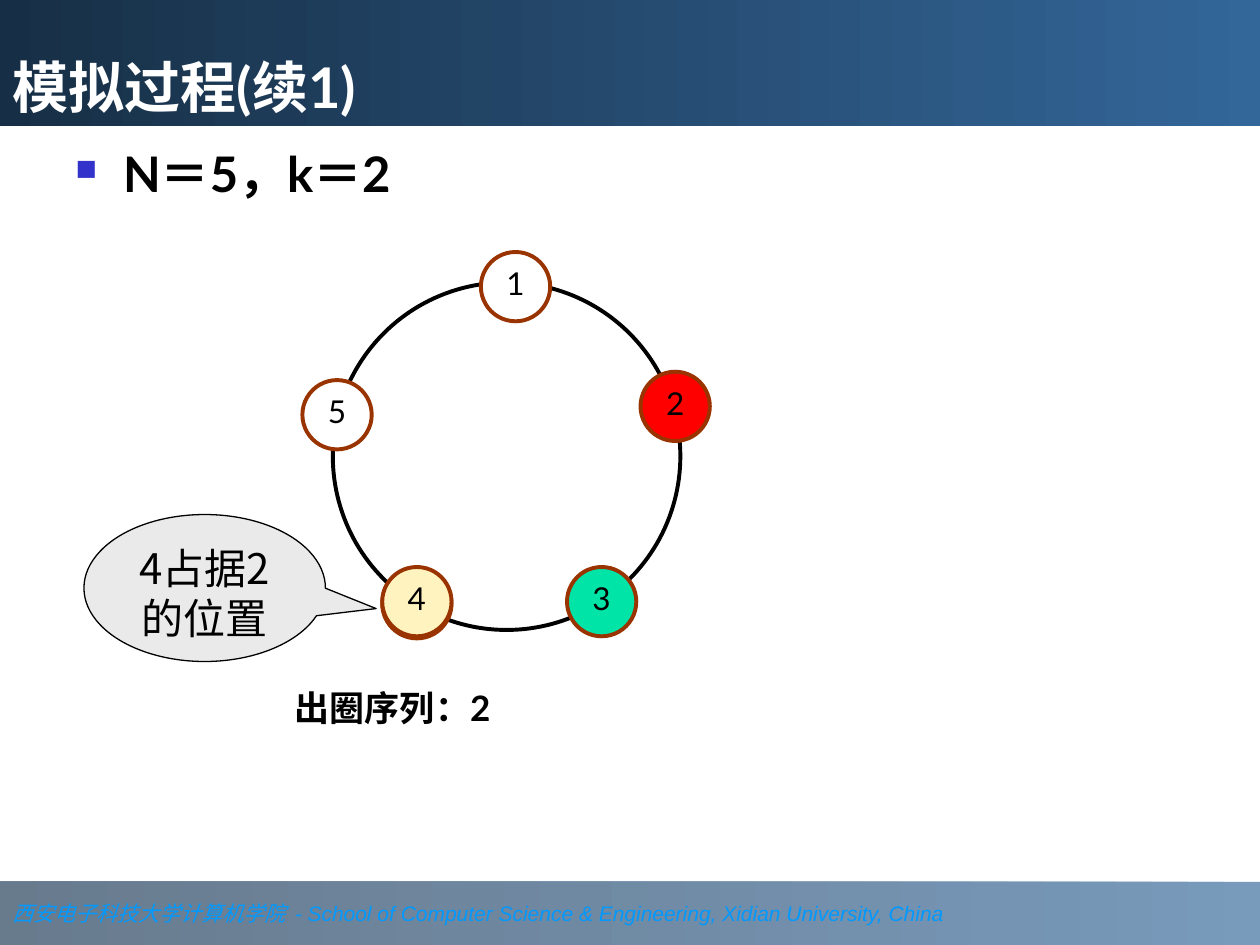
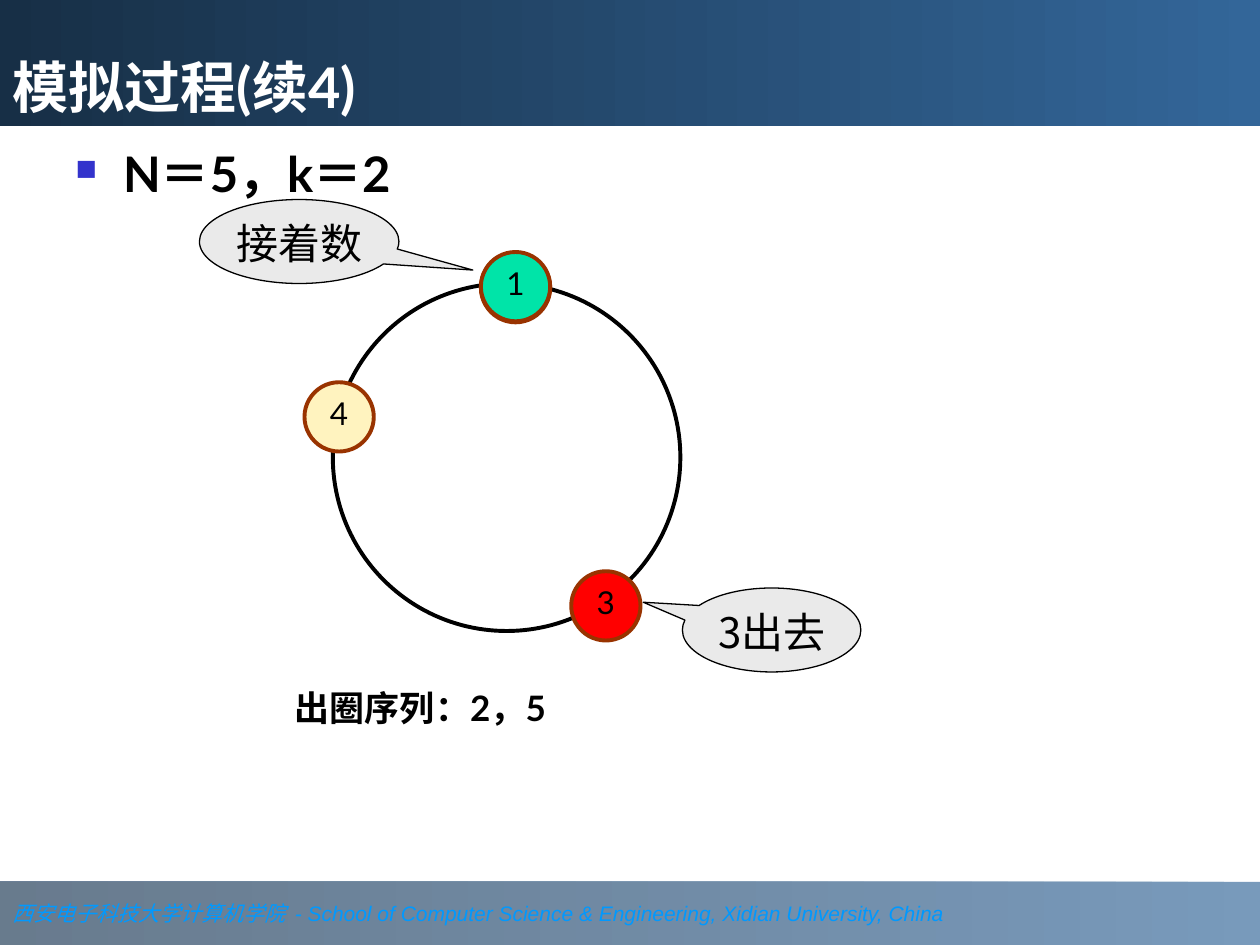
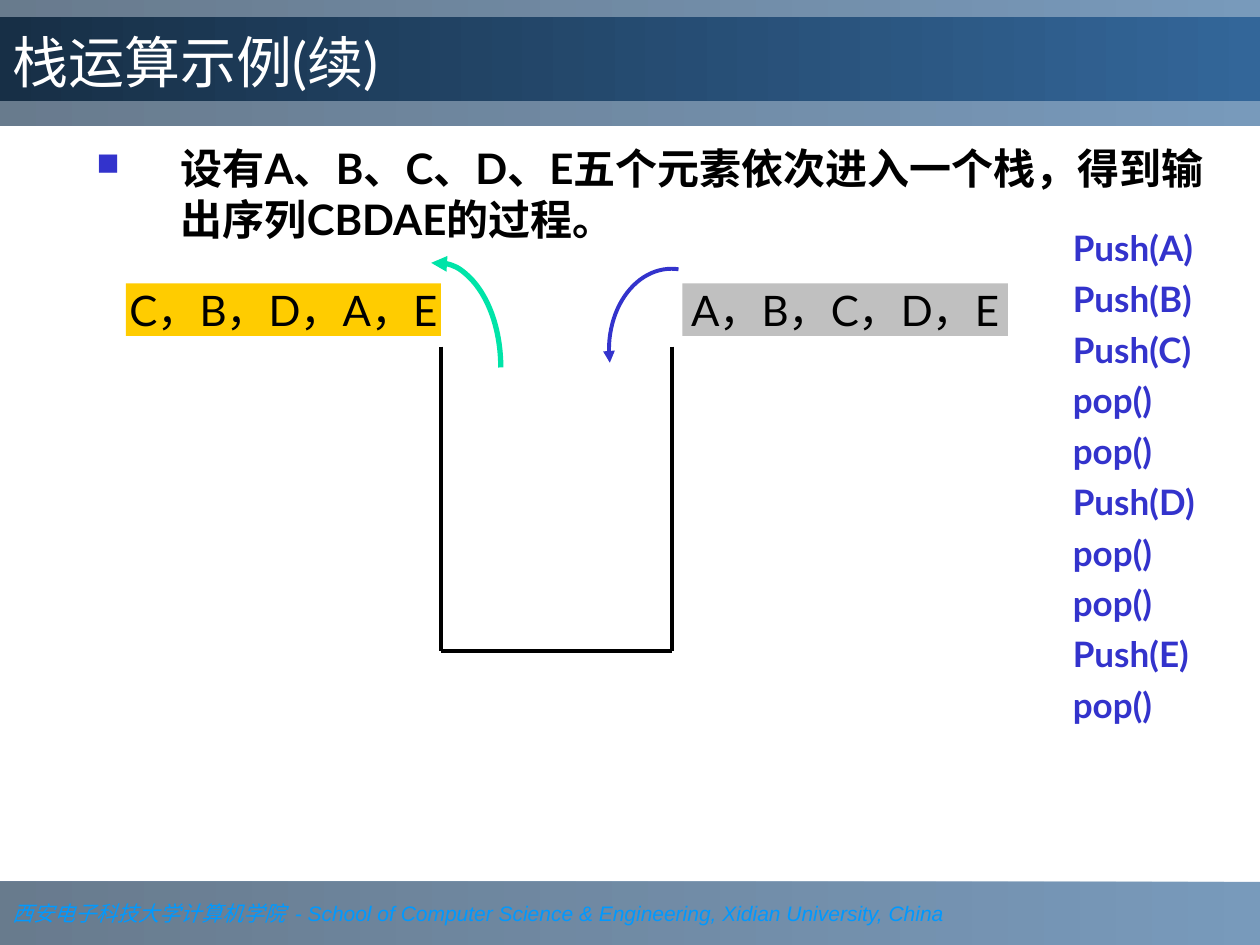
from lxml import etree
from pptx import Presentation
from pptx.dml.color import RGBColor
from pptx.enum.shapes import MSO_CONNECTOR, MSO_SHAPE
from pptx.enum.text import MSO_ANCHOR, PP_ALIGN
from pptx.oxml.ns import qn
from pptx.util import Inches, Pt

RECTANGLE = MSO_SHAPE.RECTANGLE
OVAL = MSO_SHAPE.OVAL
ARC = MSO_SHAPE.ARC
CALLOUT = MSO_SHAPE.OVAL_CALLOUT
STRAIGHT = MSO_CONNECTOR.STRAIGHT
TOP, MIDDLE, BOTTOM = MSO_ANCHOR.TOP, MSO_ANCHOR.MIDDLE, MSO_ANCHOR.BOTTOM
LEFT, CENTER = PP_ALIGN.LEFT, PP_ALIGN.CENTER

COLUMNS, ROWS = 120, 90
BLACK, WHITE, RED = "000000", "FFFFFF", "FF0000"
GREEN, CREAM, INDIGO = "00E4A8", "FFF3BF", "3333CC"
NODE_LINE, CALLOUT_FILL = "993300", "EAEAEA"
FOOTER_COLOR = "0099FF"
TITLE_GRADIENT = ("336699", "172F46")
BAND_GRADIENT = ("336699", "1B3753")
BAND_OPACITY = 66
MAIN_FONT, CALLOUT_FONT = "Lato", "Noto Sans CJK SC"
NODE_SIZE = 6.6
RING_SIZE = 33.1
ARC_DEGREE = 0.6


def color(value):
    return RGBColor.from_string(value)


def add_element(parent, tag, **attributes):
    return etree.SubElement(parent, qn(tag), attributes)


def set_bullet(paragraph, percent, indent):
    properties = paragraph._p.get_or_add_pPr()
    properties.set("marL", str(Inches(indent)))
    properties.set("indent", str(-Inches(indent)))
    bullet_color = add_element(properties, "a:buClr")
    add_element(bullet_color, "a:srgbClr", val=INDIGO)
    add_element(properties, "a:buSzPct", val=str(percent * 1000))
    add_element(properties, "a:buChar", char="■")


def format_run(run, size, font, fill, bold=False, italic=False):
    run.font.size = Pt(size)
    run.font.name = font
    run.font.color.rgb = color(fill)
    run.font.bold = bold
    run.font.italic = italic


def write(shape, text, size=24, font=MAIN_FONT, fill=BLACK, bold=False,
          align=LEFT, anchor=TOP, wrap=True, spacing=None, before=0,
          side_inset=0.1, bullet=None):
    frame = shape.text_frame
    frame.word_wrap = wrap
    frame.vertical_anchor = anchor
    frame.margin_left = frame.margin_right = Inches(side_inset)
    for index, line in enumerate(text.split("\n")):
        paragraph = frame.add_paragraph() if index else frame.paragraphs[0]
        if bullet:
            set_bullet(paragraph, *bullet)
        paragraph.alignment = align
        if spacing:
            paragraph.line_spacing = spacing
        if index:
            paragraph.space_before = Pt(before)
        run = paragraph.add_run()
        run.text = line
        format_run(run, size, font, fill, bold)


class Deck:
    def __init__(self):
        self.presentation = Presentation()
        self.presentation.slide_width = Inches(10)
        self.presentation.slide_height = Inches(7.5)
        self.slide = None

    def grid(self, column, row):
        return (round(self.presentation.slide_width * column / COLUMNS),
                round(self.presentation.slide_height * row / ROWS))

    def box(self, column, row, width, height):
        return self.grid(column, row) + self.grid(width, height)

    def shape(self, kind, place, fill=None, line=None, weight=2.25):
        shape = self.slide.shapes.add_shape(kind, *self.box(*place))
        shape.shadow.inherit = False
        if fill:
            shape.fill.solid()
            shape.fill.fore_color.rgb = color(fill)
        else:
            shape.fill.background()
        if line:
            shape.line.color.rgb = color(line)
            shape.line.width = Pt(weight)
        else:
            shape.line.fill.background()
        return shape

    def band(self, place, gradient, opacity=100):
        band = self.shape(RECTANGLE, place)
        band.fill.gradient()
        band.fill.gradient_angle = 180
        for stop, value in zip(band.fill.gradient_stops, gradient):
            stop.color.rgb = color(value)
        if opacity < 100:
            for stop_color in band._element.spPr.iter(qn("a:srgbClr")):
                add_element(stop_color, "a:alpha", val=str(opacity * 1000))
        return band

    def text(self, place, text, **style):
        write(self.slide.shapes.add_textbox(*self.box(*place)), text, **style)

    def footer(self):
        band = self.band((0, 84, COLUMNS, 6), BAND_GRADIENT, BAND_OPACITY)
        frame = band.text_frame
        frame.word_wrap = False
        frame.vertical_anchor = MIDDLE
        paragraph = frame.paragraphs[0]
        paragraph.alignment = LEFT
        for text, font in (
            ("西安电子科技大学计算机学院 ", "Times New Roman"),
            (" - School of Computer Science & Engineering, "
             "Xidian University, China", "Arial"),
        ):
            run = paragraph.add_run()
            run.text = text
            format_run(run, 12, font, FOOTER_COLOR, italic=True)

    def start(self, title, title_row=0, title_height=12, bold=True):
        layout = self.presentation.slide_layouts[6]
        self.slide = self.presentation.slides.add_slide(layout)
        self.footer()
        self.band((0, 0, COLUMNS, 12), BAND_GRADIENT, BAND_OPACITY)
        heading = self.band((0, title_row, COLUMNS, title_height), TITLE_GRADIENT)
        write(heading, title, size=32, fill=WHITE, bold=bold, anchor=BOTTOM)

    def ring(self, row):
        self.shape(OVAL, (31.7, row, RING_SIZE, RING_SIZE), line=BLACK)

    def node(self, label, column, row, fill=WHITE):
        place = (column - NODE_SIZE / 2, row - NODE_SIZE / 2, NODE_SIZE, NODE_SIZE)
        node = self.shape(OVAL, place, fill, NODE_LINE)
        write(node, label, size=18, align=CENTER, anchor=MIDDLE, wrap=False,
              spacing=0.8)

    def callout(self, text, place, tip, side_inset=0.02):
        callout = self.shape(CALLOUT, place, CALLOUT_FILL, BLACK, 0.75)
        callout.adjustments[0], callout.adjustments[1] = tip
        write(callout, text, font=CALLOUT_FONT, align=CENTER,
              side_inset=side_inset)

    def line(self, start, end):
        line = self.slide.shapes.add_connector(
            STRAIGHT, *self.grid(*start), *self.grid(*end))
        line.line.color.rgb = color(BLACK)
        line.line.width = Pt(2.25)
        add_element(line._element.spPr, "a:effectLst")

    def arrow_arc(self, place, start, end, line, weight):
        arc = self.shape(ARC, place, line=line, weight=weight)
        arc.adjustments[0] = start * ARC_DEGREE
        arc.adjustments[1] = end * ARC_DEGREE
        add_element(arc.line._get_or_add_ln(), "a:headEnd", type="triangle")

    def sequence(self, text, place, fill):
        strip = self.shape(RECTANGLE, place, fill)
        write(strip, text, align=CENTER, anchor=MIDDLE, wrap=False)

    def simulation(self, step, output, ring_row, nodes):
        self.start(f"模拟过程(续{step})")
        self.text((6, 13.1, 108, 11), "N＝5，k＝2", size=28, bold=True,
                  bullet=(60, 0.38))
        self.ring(ring_row)
        for node in nodes:
            self.node(*node)
        self.text((26.9, 65.6, 43.4, 4.4), f"出圈序列：{output}", size=20,
                  bold=True, spacing=0.8)

    def stack(self, left, right, top, bottom):
        for column in (left, right):
            self.line((column, top), (column, bottom))
        self.line((left, bottom), (right, bottom))


def main():
    deck = Deck()

    deck.simulation(1, "2", 26.9, [
        ("1", 49.1, 27.3),
        ("4", 39.7, 57.5),
        ("5", 32.1, 39.5),
        ("2", 64.3, 38.7, RED),
        ("3", 57.3, 57.3, GREEN),
        ("4", 39.7, 57.3, CREAM),
    ])
    deck.callout("4占据2的位置", (8, 49, 23, 14), (0.71, 0.14))

    deck.simulation(4, "2，5", 27, [
        ("1", 49.1, 27.4),
        ("4", 32.3, 39.7, CREAM),
        ("1", 49.1, 27.3, GREEN),
        ("3", 57.7, 57.7, RED),
    ])
    deck.callout("接着数", (19, 19, 19, 8), (0.87, 0.34), side_inset=0)
    deck.callout("3出去", (65, 56, 17, 8), (-0.72, -0.33))

    deck.start("栈运算示例(续)", title_row=1.6, title_height=8, bold=False)
    deck.stack(left=42, right=64, top=33, bottom=62)
    calls = ["Push(A)", "Push(B)", "Push(C)", "pop()", "pop()",
             "Push(D)", "pop()", "pop()", "Push(E)", "pop()"]
    deck.text((101, 21, 17.5, 48), "\n".join(calls), size=20, fill=INDIGO,
              bold=True, before=5)
    deck.sequence("C，B，D，A，E", (12, 27, 30, 5), "FFCC00")
    deck.sequence("A，B，C，D，E", (65, 27, 31, 5), "C0C0C0")
    deck.arrow_arc((35.5, 25, 12.2, 20), 267, 0, GREEN, 3)
    deck.arrow_arc((58, 25.6, 11.9, 15.4), 168, 275, INDIGO, 2.25)
    deck.text((8, 13, 109.5, 14),
              "设有A、B、C、D、E五个元素依次进入一个栈，得到输出序列CBDAE的过程。",
              bold=True, bullet=(75, 0.67))

    deck.presentation.save("out.pptx")


if __name__ == "__main__":
    main()
